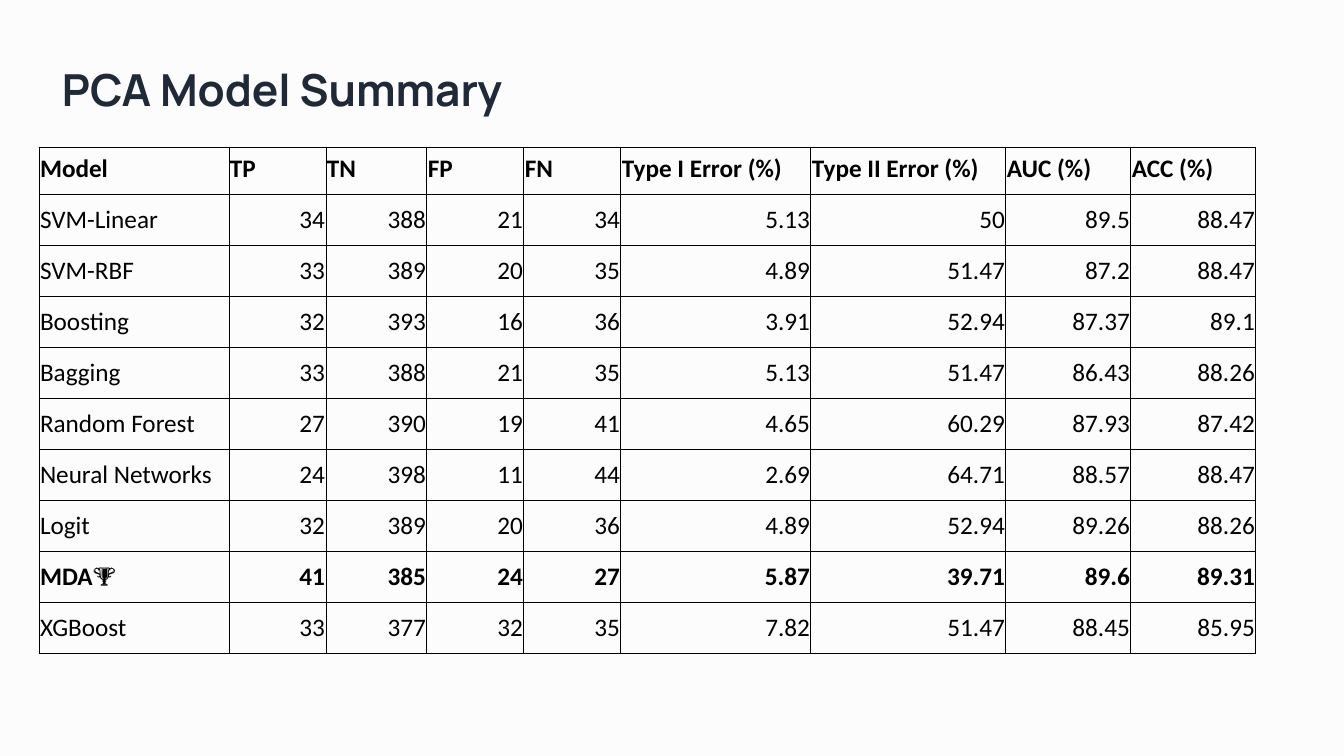
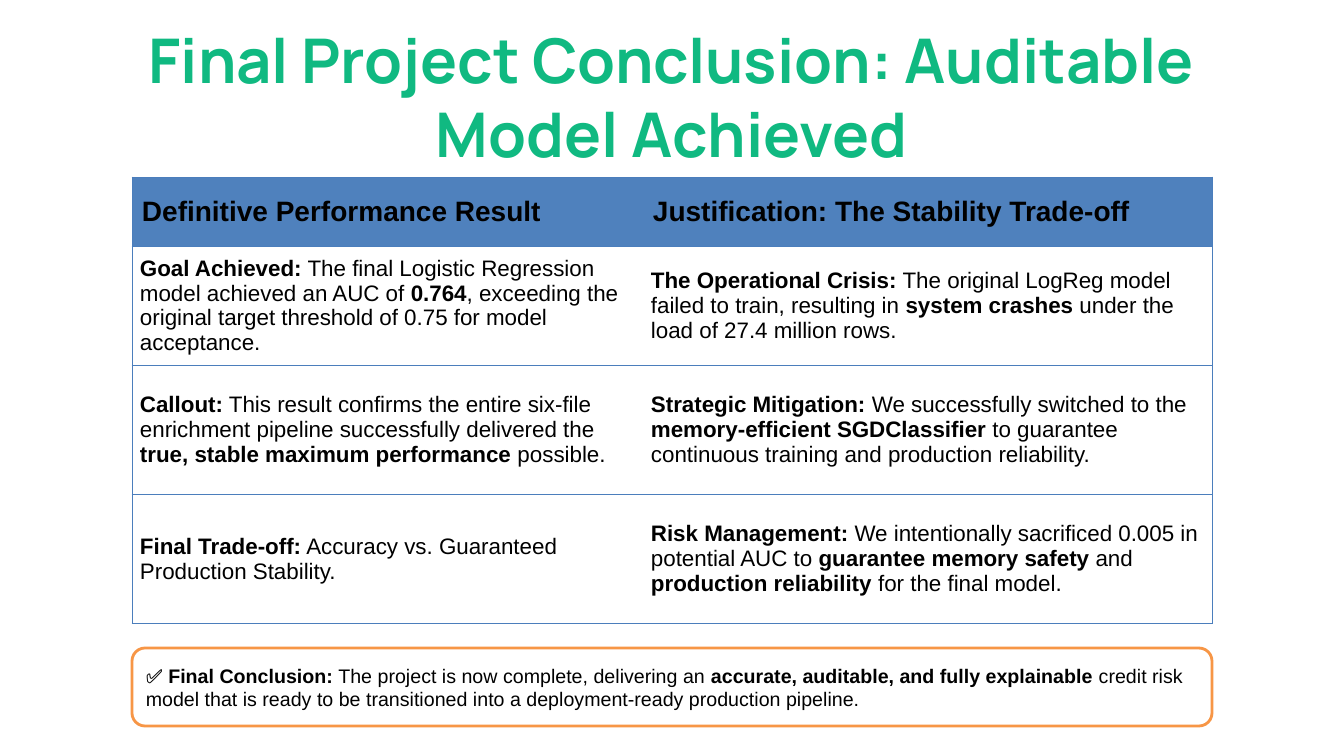
from lxml.etree import SubElement
from pptx import Presentation
from pptx.dml.color import RGBColor
from pptx.enum.shapes import MSO_SHAPE
from pptx.enum.text import MSO_ANCHOR, PP_ALIGN
from pptx.oxml.ns import qn
from pptx.util import Pt

PX = 9071  # EMU in one pixel, at 100.8 pixels to the inch
BLACK, WHITE, PAPER = "000000", "FFFFFF", "FCFCFC"
INK, GREEN, ORANGE = "1F2937", "10B981", "F79646"
HEADER_BLUE, RULE_BLUE = "4F81BD", "4B7EBC"
TITLE_FONT = "Manrope"


def write(holder, text, size, font="Arial", color=BLACK, align=PP_ALIGN.LEFT,
          anchor=MSO_ANCHOR.MIDDLE, insets=(10, 5, 10, 5), spacing=None):
    """Fill a shape or table cell with one paragraph; **double stars** mark bold."""
    frame = holder.text_frame
    # Cells keep their own margins and anchor; shapes keep them on the text frame.
    box = holder if hasattr(holder, "vertical_anchor") else frame
    box.vertical_anchor = anchor
    box.margin_left, box.margin_top, box.margin_right, box.margin_bottom = [
        inset * PX for inset in insets]
    frame.word_wrap = True
    paragraph = frame.paragraphs[0]
    paragraph.alignment = align
    paragraph.line_spacing = spacing
    for index, part in enumerate(text.split("**")):
        if part:
            run = paragraph.add_run()
            run.text = part
            run.font.name = font
            run.font.size = Pt(size)
            run.font.bold = index % 2 == 1
            run.font.color.rgb = RGBColor.from_string(color)


def add_grid(slide, left, top, widths, heights, rule_color, inner_verticals):
    """Add a table with ruled rows, no fill, and optional lines between columns."""
    table = slide.shapes.add_table(
        len(heights), len(widths), left * PX, top * PX,
        sum(widths) * PX, sum(heights) * PX).table
    table.first_row = table.horz_banding = False
    for column, width in zip(table.columns, widths):
        column.width = width * PX
    for row, height in zip(table.rows, heights):
        row.height = height * PX
        for position, cell in enumerate(row.cells):
            ruled = {
                "a:lnL": inner_verticals or position == 0,
                "a:lnR": inner_verticals or position == len(widths) - 1,
                "a:lnT": True,
                "a:lnB": True,
            }
            properties = cell._tc.get_or_add_tcPr()
            for edge, visible in ruled.items():
                line = SubElement(properties, qn(edge), w=str(Pt(0.75)))
                if visible:
                    paint = SubElement(line, qn("a:solidFill"))
                    SubElement(paint, qn("a:srgbClr"), val=rule_color)
                else:
                    SubElement(line, qn("a:noFill"))
            cell.fill.background()
    return table


deck = Presentation()
deck.slide_width, deck.slide_height = 1344 * PX, 756 * PX
blank = deck.slide_layouts[6]
summary, conclusion = [deck.slides.add_slide(blank) for _ in range(2)]
for slide, backdrop in ((summary, PAPER), (conclusion, WHITE)):
    slide.background.fill.solid()
    slide.background.fill.fore_color.rgb = RGBColor.from_string(backdrop)

# Model summary
summary_title = summary.shapes.add_textbox(62 * PX, 62 * PX, 1279 * PX, 53 * PX)
write(summary_title, "**PCA Model Summary**", 31.5, font=TITLE_FONT, color=INK,
      anchor=MSO_ANCHOR.TOP, insets=(0, 0, 0, 0))

measures = ["Model", "TP", "TN", "FP", "FN", "Type I Error (%)",
            "Type II Error (%)", "AUC (%)", "ACC (%)"]
results = [
    ["SVM-Linear", 34, 388, 21, 34, 5.13, 50, 89.5, 88.47],
    ["SVM-RBF", 33, 389, 20, 35, 4.89, 51.47, 87.2, 88.47],
    ["Boosting", 32, 393, 16, 36, 3.91, 52.94, 87.37, 89.1],
    ["Bagging", 33, 388, 21, 35, 5.13, 51.47, 86.43, 88.26],
    ["Random Forest", 27, 390, 19, 41, 4.65, 60.29, 87.93, 87.42],
    ["Neural Networks", 24, 398, 11, 44, 2.69, 64.71, 88.57, 88.47],
    ["Logit", 32, 389, 20, 36, 4.89, 52.94, 89.26, 88.26],
    ["MDA🏆", 41, 385, 24, 27, 5.87, 39.71, 89.6, 89.31],
    ["XGBoost", 33, 377, 32, 35, 7.82, 51.47, 88.45, 85.95],
]
scores = add_grid(summary, 39, 147, [190, 97, 101, 97, 97, 190, 195, 125, 125],
                  [47] + [51] * len(results), BLACK, inner_verticals=True)
for row, values in zip(scores.rows, [measures] + results):
    emphasised = values[0] in ("Model", "MDA🏆")
    for cell, value in zip(row.cells, values):
        is_number = not isinstance(value, str)
        write(cell, f"**{value}**" if emphasised else str(value), 18,
              font="Calibri", anchor=MSO_ANCHOR.BOTTOM, insets=(1, 1, 1, 10),
              align=PP_ALIGN.RIGHT if is_number else PP_ALIGN.LEFT,
              spacing=1.15 if is_number else None)

# Project conclusion
findings = [
    ["**Definitive Performance Result**",
     "**Justification: The Stability Trade-off**"],
    ["**Goal Achieved:** The final Logistic Regression model achieved an AUC of "
     "**0.764**, exceeding the original target threshold of 0.75 for model "
     "acceptance.",
     "**The Operational Crisis:** The original LogReg model failed to train, "
     "resulting in **system crashes** under the load of 27.4 million rows."],
    ["**Callout:** This result confirms the entire six-file enrichment pipeline "
     "successfully delivered the **true, stable maximum performance** possible.",
     "**Strategic Mitigation:** We successfully switched to the "
     "**memory-efficient SGDClassifier** to guarantee continuous training and "
     "production reliability."],
    ["**Final Trade-off:** Accuracy vs. Guaranteed Production Stability.",
     "**Risk Management:** We intentionally sacrificed 0.005 in potential AUC to "
     "**guarantee memory safety** and **production reliability** for the final "
     "model."],
]
reasons = add_grid(conclusion, 132, 177, [511, 569], [69, 119, 129, 129],
                   RULE_BLUE, inner_verticals=False)
for index, (row, texts) in enumerate(zip(reasons.rows, findings)):
    for cell, text in zip(row.cells, texts):
        if index == 0:
            cell.fill.solid()
            cell.fill.fore_color.rgb = RGBColor.from_string(HEADER_BLUE)
            write(cell, text, 20)
        else:
            write(cell, text, 16, insets=(8, 6, 8, 6))

conclusion_title = conclusion.shapes.add_textbox(
    132 * PX, 17 * PX, 1080 * PX, 159 * PX)
write(conclusion_title, "**Final Project Conclusion: Auditable Model Achieved**", 44,
      font=TITLE_FONT, color=GREEN, align=PP_ALIGN.CENTER, anchor=MSO_ANCHOR.TOP)

verdict = conclusion.shapes.add_shape(
    MSO_SHAPE.ROUNDED_RECTANGLE, 132 * PX, 648 * PX, 1080 * PX, 78 * PX)
verdict.shadow.inherit = False
verdict.fill.solid()
verdict.fill.fore_color.rgb = RGBColor.from_string(WHITE)
verdict.line.color.rgb = RGBColor.from_string(ORANGE)
verdict.line.width = Pt(2)
write(verdict,
      "**✅ Final Conclusion:** The project is now complete, delivering an "
      "**accurate, auditable, and fully explainable** credit risk model that is "
      "ready to be transitioned into a deployment-ready production pipeline.", 14)

deck.save("out.pptx")
